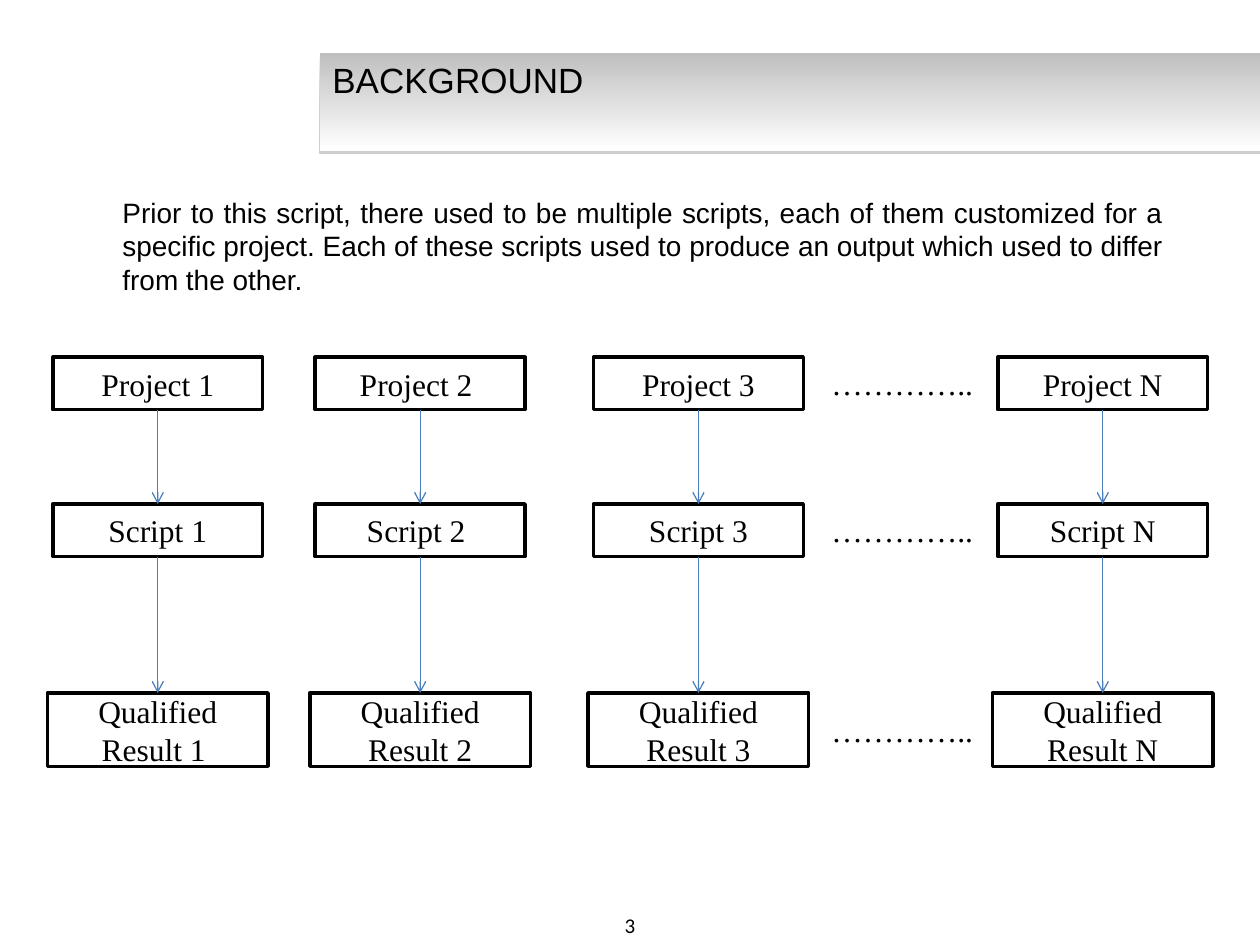
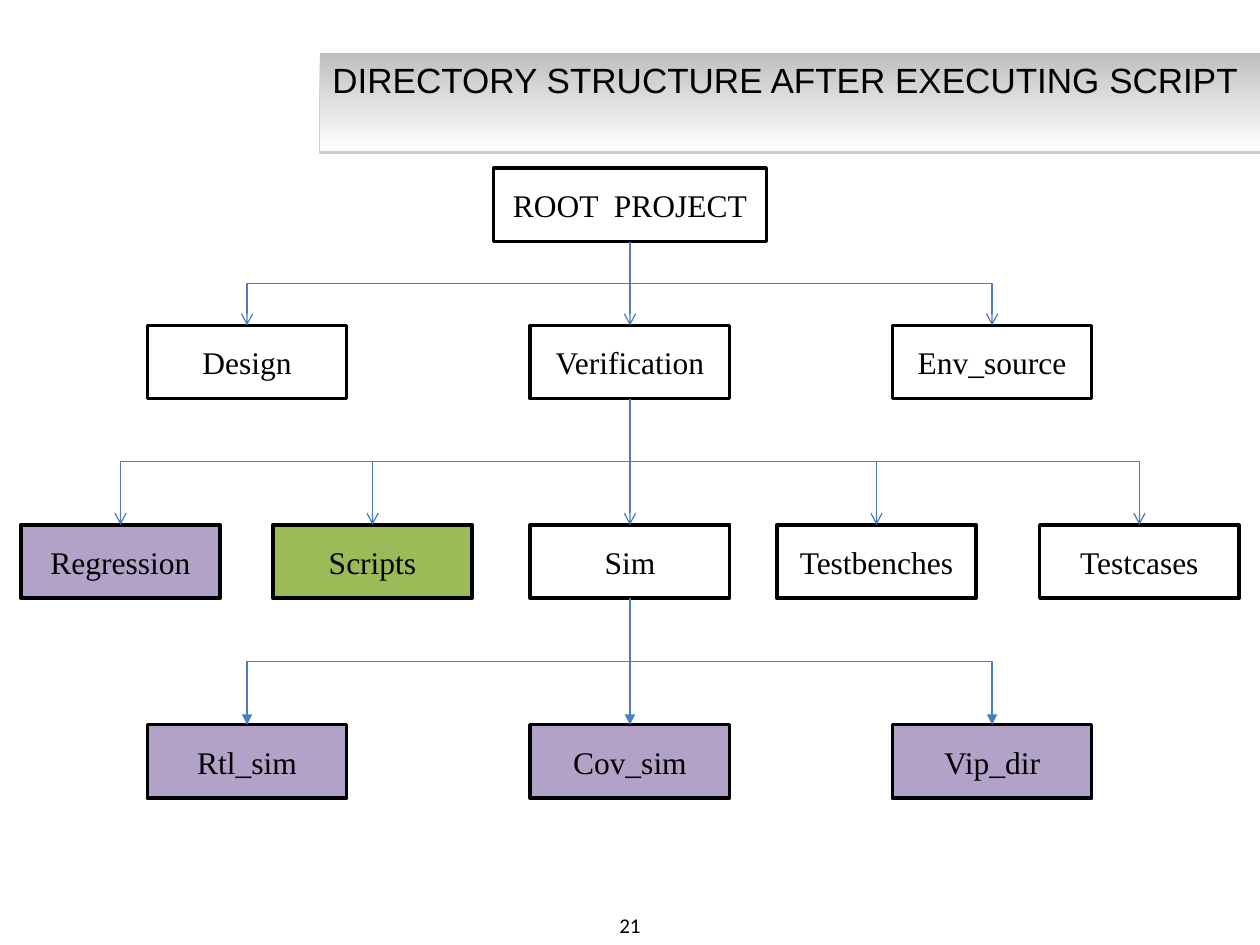
from dataclasses import dataclass
from itertools import pairwise
from typing import Any

from lxml import etree
from pptx import Presentation
from pptx import util as u
from pptx.dml.color import RGBColor
from pptx.enum import dml, shapes, text
from pptx.oxml import ns


@dataclass(frozen=True)
class Theme:
    ink: str = "000000"
    paper: str = "FFFFFF"
    band: str = "BFBFBF"
    shade: str = "808080"
    link: str = "4B7EBC"
    generated: str = "B3A2C7"
    scripted: str = "9BBB59"
    heading_font: str = "Arial"
    node_font: str = "Times New Roman"
    number_font: str = "Calibri"
    title_size: int = 20
    node_size: int = 18
    body_size: int = 16
    number_size: int = 12
    outline: float = 2
    link_width: float = 0.75


THEME = Theme()
CENTRED = {"alignment": text.PP_ALIGN.CENTER}
MIDDLE = {"vertical_anchor": text.MSO_ANCHOR.MIDDLE}


@dataclass(frozen=True)
class Area:
    left: float
    top: float
    width: float
    height: float

    def lengths(self) -> list[u.Length]:
        return [u.Cm(side) for side in (self.left, self.top, self.width, self.height)]


@dataclass(frozen=True)
class Node:
    label: str
    centre: float
    top: float
    width: float
    height: float
    fill: str = THEME.paper

    @property
    def area(self) -> Area:
        return Area(self.centre - self.width / 2, self.top, self.width, self.height)


@dataclass(frozen=True)
class Stage:
    label: str
    top: float
    width: float
    height: float


@dataclass(frozen=True)
class Level:
    names: tuple[str, ...]
    centres: tuple[float, ...]
    top: float
    width: float = 4.02
    fills: tuple[str, ...] = ()
    arrow: str = "arrow"


BAND = Area(6.45, 1.06, 18.95, 1.98)
PAGE_NUMBER = Area(9.74, 18.27, 5.92, 0.78)
EXPLANATION = Area(1.27, 3.81, 22.43, 2.33)
NODE_HEIGHT = 1.48

PROJECTS = {"1": 3.18, "2": 8.47, "3": 14.08, "N": 22.23}
STAGES = (
    Stage("Project", 7.2, 4.23, 1.06),
    Stage("Script", 10.16, 4.23, 1.06),
    Stage("Qualified Result", 13.97, 4.45, NODE_HEIGHT),
)
TRAILING_SPACE = {"Project 2", "Script 2", "Qualified Result 1"}

MAIN_COLUMNS = (4.98, 12.7, 20.0)
LEVELS = (
    Level(("ROOT  PROJECT",), (12.7,), 3.39, width=5.5),
    Level(("Design", "Verification", "Env_source"), MAIN_COLUMNS, 6.56),
    Level(
        ("Regression", "Scripts", "Sim", "Testbenches", "Testcases"),
        (2.43, 7.51, 12.7, 17.67, 22.97),
        10.58,
        fills=(THEME.generated, THEME.scripted, *[THEME.paper] * 3),
    ),
    Level(
        ("Rtl_sim", "Cov_sim", "Vip_dir"),
        MAIN_COLUMNS,
        14.61,
        fills=(THEME.generated,) * 3,
        arrow="triangle",
    ),
)


def apply(target: Any, values: dict[str, Any]) -> None:
    for name, value in values.items():
        setattr(target, name, value)


def write(shape: Any, wording: str, font: str, size: int,
          frame: dict[str, Any] | None = None,
          paragraph: dict[str, Any] | None = None) -> Any:
    """Put one paragraph into a shape and return that paragraph."""
    apply(shape.text_frame, {"word_wrap": True} | (frame or {}))
    line = shape.text_frame.paragraphs[0]
    apply(line, paragraph or {})
    run = line.add_run()
    run.text = wording
    apply(run.font, {"name": font, "size": u.Pt(size)})
    run.font.color.rgb = RGBColor.from_string(THEME.ink)
    return line


def add_rectangle(slide: Any, area: Area) -> Any:
    rectangle = slide.shapes.add_shape(shapes.MSO_SHAPE.RECTANGLE, *area.lengths())
    rectangle.shadow.inherit = False
    return rectangle


def draw_band(slide: Any) -> None:
    """Draw the grey gradient band with its thin lower shadow."""
    band = add_rectangle(slide, BAND)
    band.line.fill.background()
    band.fill.gradient()
    band.fill.gradient_angle = 270
    for stop, position, colour in zip(
        band.fill.gradient_stops, (0, 1), (THEME.band, THEME.paper)
    ):
        stop.position = position
        stop.color.rgb = RGBColor.from_string(colour)
    effects = band._element.spPr.find(ns.qn("a:effectLst"))
    shadow = etree.SubElement(
        effects, ns.qn("a:outerShdw"), blurRad="0", dist=str(u.Pt(1.6)),
        dir="5400000", algn="t", rotWithShape="0",
    )
    colour = etree.SubElement(shadow, ns.qn("a:srgbClr"), val=THEME.shade)
    etree.SubElement(colour, ns.qn("a:alpha"), val="38000")


def start_slide(deck: Any, title: str, number: int) -> Any:
    """Add a blank slide with the shared band, title and page number."""
    slide = deck.slides.add_slide(deck.slide_layouts[6])
    draw_band(slide)
    write(slide.shapes.add_textbox(*BAND.lengths()), title,
          THEME.heading_font, THEME.title_size)
    write(slide.shapes.add_textbox(*PAGE_NUMBER.lengths()), str(number),
          THEME.number_font, THEME.number_size, MIDDLE, CENTRED)
    return slide


def draw_node(slide: Any, node: Node) -> Any:
    box = add_rectangle(slide, node.area)
    box.fill.solid()
    box.fill.fore_color.rgb = RGBColor.from_string(node.fill)
    box.line.color.rgb = RGBColor.from_string(THEME.ink)
    box.line.width = u.Pt(THEME.outline)
    write(box, node.label, THEME.node_font, THEME.node_size, MIDDLE, CENTRED)
    return box


def draw_link(slide: Any, parent: Any, child: Any, arrow: str = "arrow") -> None:
    """Join the bottom of parent to the top of child with an arrow."""
    start_x, end_x = (box.left + box.width // 2 for box in (parent, child))
    start_y, end_y = parent.top + parent.height, child.top
    run, drop = abs(end_x - start_x), end_y - start_y
    bent = run > u.Cm(0.1)
    kind = shapes.MSO_CONNECTOR.ELBOW if bent else shapes.MSO_CONNECTOR.STRAIGHT
    link = slide.shapes.add_connector(kind, start_x, start_y, end_x, end_y)
    link.begin_connect(parent, 2)
    link.end_connect(child, 0)
    if bent:
        rightward = end_x > start_x
        apply(link, {
            "left": (start_x + end_x - drop) // 2,
            "top": (start_y + end_y - run) // 2,
            "width": drop,
            "height": run,
        })
        apply(link._element.spPr.xfrm, {"rot": 270 if rightward else 90,
                                        "flipH": rightward})
    link.line.color.rgb = RGBColor.from_string(THEME.link)
    apply(link.line, {"width": u.Pt(THEME.link_width),
                      "dash_style": dml.MSO_LINE.SOLID})
    etree.SubElement(link.line._get_or_add_ln(), ns.qn("a:tailEnd"), type=arrow)
    etree.SubElement(link._element.spPr, ns.qn("a:effectLst"))


def build_background(deck: Any) -> None:
    slide = start_slide(deck, "BACKGROUND", 3)
    explanation = write(
        slide.shapes.add_textbox(*EXPLANATION.lengths()),
        "Prior to this script, there used to be multiple scripts, each of them "
        "customized for a specific project. Each of these scripts used to produce "
        "an output which used to differ from the other.",
        THEME.heading_font, THEME.body_size,
        paragraph={"alignment": text.PP_ALIGN.JUSTIFY},
    )
    explanation._p.get_or_add_pPr().set("marL", str(u.Cm(0.95)))
    for suffix, centre in PROJECTS.items():
        chain = []
        for stage in STAGES:
            label = f"{stage.label} {suffix}"
            label += " " if label in TRAILING_SPACE else ""
            chain.append(draw_node(
                slide, Node(label, centre, stage.top, stage.width, stage.height)))
        for upper, lower in pairwise(chain):
            draw_link(slide, upper, lower)
    for stage in STAGES:
        ellipsis = Area(16.51, stage.top + stage.height / 2 - 0.51, 3.38, 1.02)
        write(slide.shapes.add_textbox(*ellipsis.lengths()), "…………..",
              THEME.node_font, THEME.node_size)


def build_directory_tree(deck: Any) -> None:
    slide = start_slide(deck, "DIRECTORY STRUCTURE AFTER EXECUTING SCRIPT", 21)
    parent = None
    for level in LEVELS:
        fills = level.fills or (THEME.paper,) * len(level.names)
        folders = [
            draw_node(slide, Node(name, centre, level.top, level.width,
                                  NODE_HEIGHT, fill))
            for name, centre, fill in zip(level.names, level.centres, fills)
        ]
        if parent is not None:
            for folder in folders:
                draw_link(slide, parent, folder, level.arrow)
        parent = folders[len(folders) // 2]


def main() -> None:
    deck = Presentation()
    apply(deck, {"slide_width": u.Cm(25.4), "slide_height": u.Cm(19.05)})
    build_background(deck)
    build_directory_tree(deck)
    deck.save("out.pptx")


if __name__ == "__main__":
    main()
